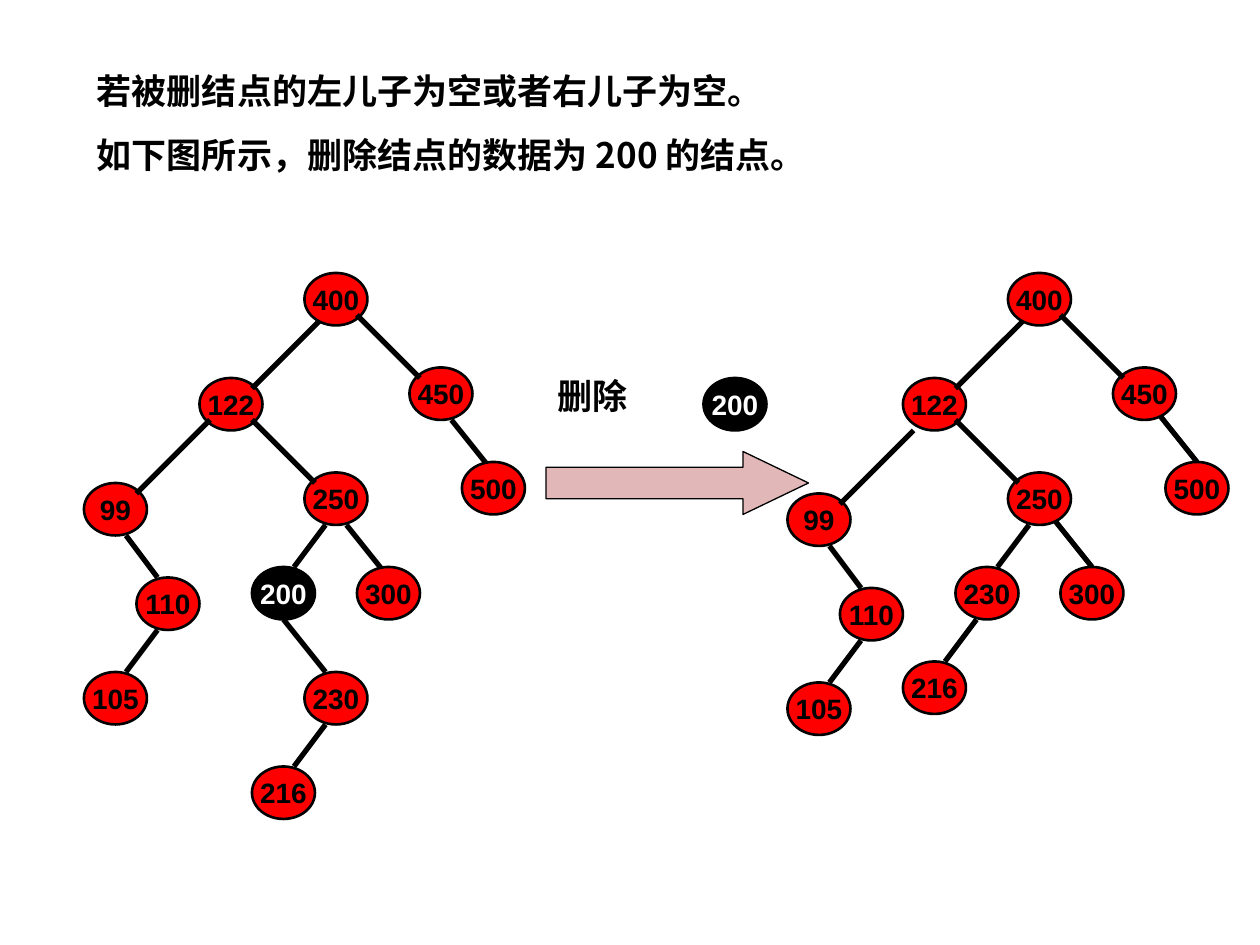
from lxml import etree
from pptx import Presentation
from pptx import util as u
from pptx.dml.color import RGBColor
from pptx.enum import shapes, text
from pptx.oxml import ns

BLACK = RGBColor(0, 0, 0)
WHITE = RGBColor(255, 255, 255)
RED = RGBColor(255, 0, 0)
PINK = RGBColor(0xE1, 0xB7, 0xB7)
LATIN_FONT = "Arial"
CHINESE_FONT = "Noto Sans CJK SC"
NODE_WIDTH, NODE_HEIGHT = 6, 5
RIGHT_TREE_SHIFT = 67

SHARED_NODES = [("122", 19, 36), ("450", 39, 35), ("500", 44, 44),
                ("250", 29, 45), ("300", 34, 54)]
SHARED_EDGES = [(31, 30, 24, 37), (24, 40, 30, 46), (31, 50, 28, 54)]
LEFT_NODES = [("99", 8, 46), ("110", 13, 55), ("105", 8, 64),
              ("230", 29, 64), ("216", 24, 73)]
LEFT_BACK_EDGES = [(33, 50, 37, 55), (43, 40, 47, 45)]
LEFT_EDGES = [(20, 40, 13, 47), (12, 51, 15, 55), (15, 60, 12, 64),
              (27, 59, 31, 64), (31, 69, 28, 73)]
RIGHT_NODES = [("99", 8, 47), ("110", 13, 56), ("105", 8, 65),
               ("230", 24, 54), ("216", 19, 63)]
RIGHT_BACK_EDGES = [(33, 49, 37, 54), (43, 39, 47, 44)]
RIGHT_EDGES = [(20, 41, 13, 48), (12, 52, 15, 56), (15, 61, 12, 65),
               (26, 59, 23, 63)]


def twelfths(count):
    return u.Inches(count / 12)


def write_text(frame, content, size=20, color=BLACK, font=LATIN_FONT,
               align=text.PP_ALIGN.LEFT, line_height=None, space_before=0):
    for index, line in enumerate(content.split("\n")):
        paragraph = frame.paragraphs[0] if index == 0 else frame.add_paragraph()
        paragraph.alignment = align
        if line_height:
            paragraph.line_spacing = u.Pt(line_height)
        if index:
            paragraph.space_before = u.Pt(space_before)
        run = paragraph.add_run()
        run.text = line
        run.font.size = u.Pt(size)
        run.font.bold = True
        run.font.name = font
        run.font.color.rgb = color
        east_asian = etree.SubElement(run.font._element, ns.qn("a:ea"))
        east_asian.set("typeface", CHINESE_FONT)


class TreeSlide:
    edge_width = 3
    node_line_width = 1.5
    arrow_line_width = 0.75
    node_text_size = 16

    def __init__(self, slide):
        self.slide = slide
        self.shapes = slide.shapes

    def start_group(self):
        self.shapes = self.slide.shapes.add_group_shape().shapes

    def preset(self, kind, left, top, width, height, fill, line_width):
        shape = self.shapes.add_shape(kind, *map(twelfths, (left, top, width, height)))
        shape.shadow.inherit = False
        shape.fill.solid()
        shape.fill.fore_color.rgb = fill
        shape.line.color.rgb = BLACK
        shape.line.width = u.Pt(line_width)
        return shape

    def node(self, label, left, top, fill=RED, color=BLACK):
        shape = self.preset(shapes.MSO_SHAPE.OVAL, left, top, NODE_WIDTH,
                            NODE_HEIGHT, fill, self.node_line_width)
        shape.text_frame.word_wrap = False
        shape.text_frame.vertical_anchor = text.MSO_ANCHOR.MIDDLE
        write_text(shape.text_frame, label, size=self.node_text_size,
                   color=color, align=text.PP_ALIGN.CENTER)

    def deleted_node(self, left, top):
        self.node("200", left, top, fill=BLACK, color=WHITE)

    def edge(self, *ends, shift=0):
        start_x, start_y, end_x, end_y = ends
        connector = self.shapes.add_connector(
            shapes.MSO_CONNECTOR.STRAIGHT, twelfths(start_x + shift),
            twelfths(start_y), twelfths(end_x + shift), twelfths(end_y))
        connector.line.color.rgb = BLACK
        connector.line.width = u.Pt(self.edge_width)
        etree.SubElement(connector._element.spPr, ns.qn("a:effectLst"))

    def arrow(self, left, top, width, height):
        shape = self.preset(shapes.MSO_SHAPE.RIGHT_ARROW, left, top, width,
                            height, PINK, self.arrow_line_width)
        shape.adjustments[1] = 1.04

    def text_box(self, content, left, top, width, height, **style):
        box = self.shapes.add_textbox(*map(u.Inches, (left, top, width, height)))
        box.text_frame.word_wrap = True
        box.text_frame.auto_size = text.MSO_AUTO_SIZE.SHAPE_TO_FIT_TEXT
        write_text(box.text_frame, content, line_height=24, **style)

    def tree(self, nodes, back_edges, edges, shift=0):
        for ends in back_edges:
            self.edge(*ends, shift=shift)
        for label, left, top in SHARED_NODES + nodes:
            self.node(label, left + shift, top)
        for ends in SHARED_EDGES + edges:
            self.edge(*ends, shift=shift)
        self.node("400", 29 + shift, 26)
        self.edge(34, 30, 40, 36, shift=shift)


def main():
    presentation = Presentation()
    presentation.slide_width = u.Inches(10)
    presentation.slide_height = u.Inches(7.5)
    page = TreeSlide(presentation.slides.add_slide(presentation.slide_layouts[6]))
    page.text_box("若被删结点的左儿子为空或者右儿子为空。\n"
                  "如下图所示，删除结点的数据为 200 的结点。",
                  0.67, 0.5, 8.25, 0.94, font=CHINESE_FONT, space_before=12.5)
    page.start_group()
    page.tree(LEFT_NODES, LEFT_BACK_EDGES, LEFT_EDGES)
    page.deleted_node(24, 54)
    page.start_group()
    page.arrow(52, 43, 25, 6)
    page.text_box("删除", 4.33, 2.92, 0.83, 0.44)
    page.deleted_node(67, 36)
    page.start_group()
    page.tree(RIGHT_NODES, RIGHT_BACK_EDGES, RIGHT_EDGES, RIGHT_TREE_SHIFT)
    presentation.save("out.pptx")


if __name__ == "__main__":
    main()
